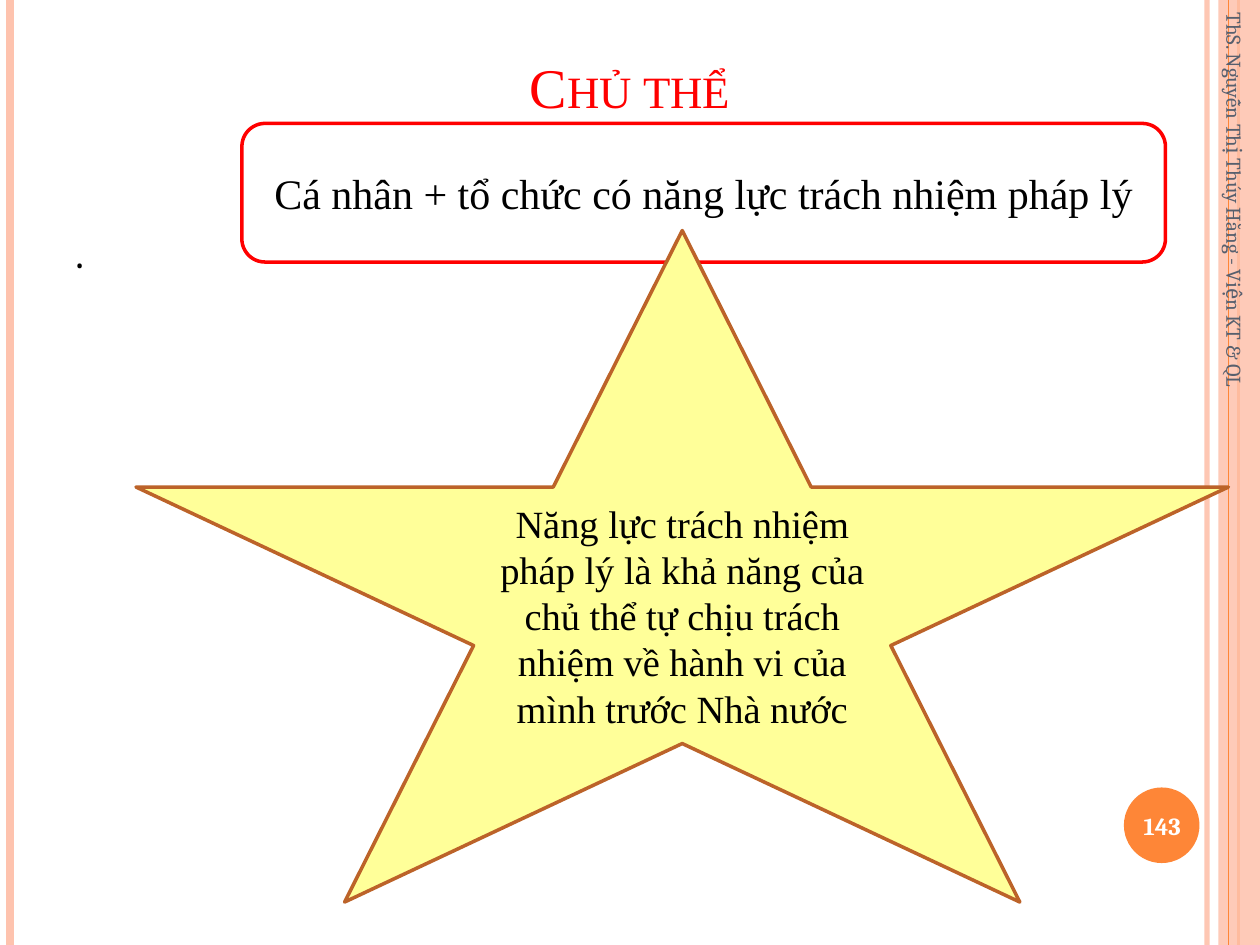
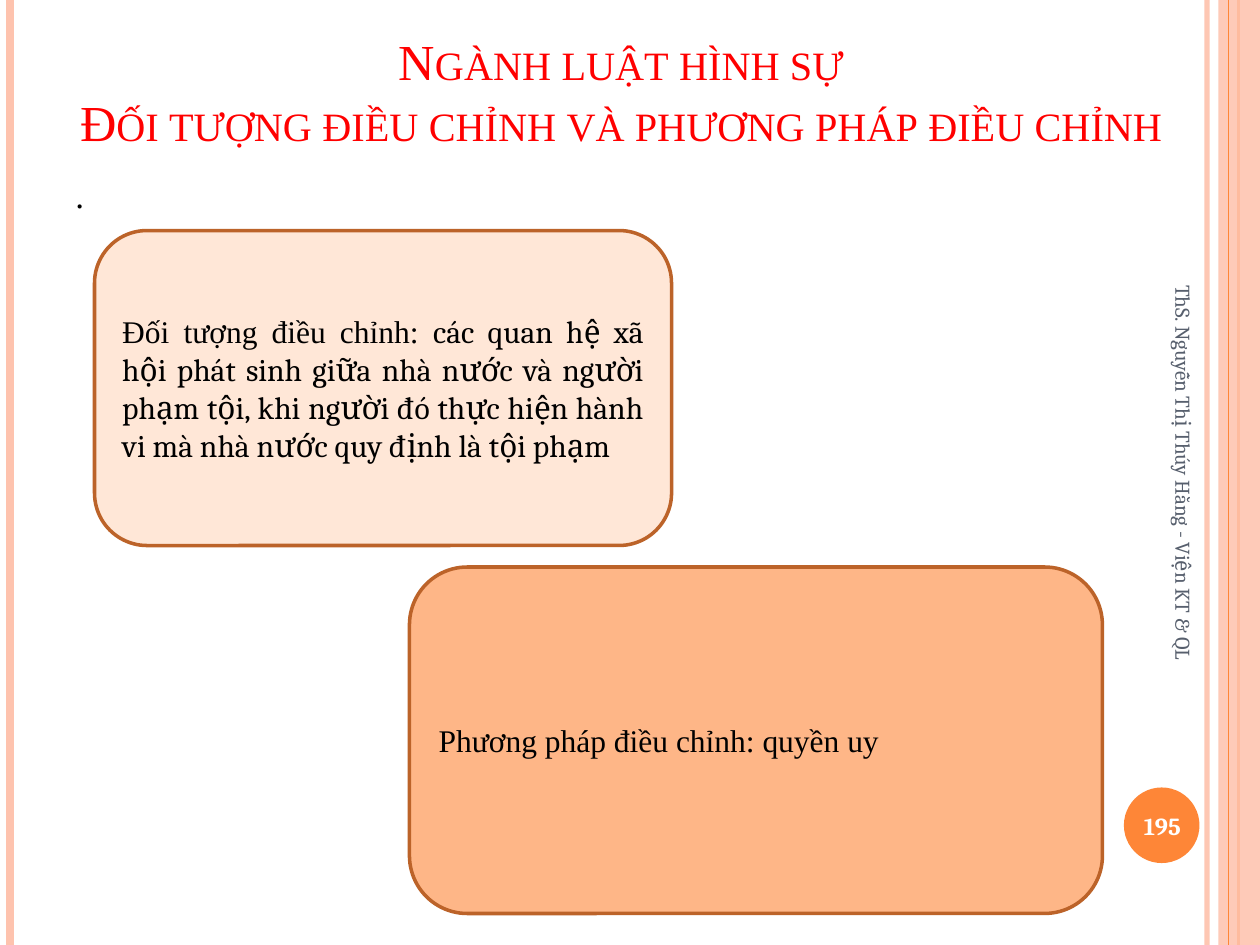
from lxml import etree
from pptx import Presentation, util as u
from pptx.dml.color import RGBColor
from pptx.enum import shapes, text
from pptx.oxml import ns

PX = u.Inches(1) // 100
WIDTH, HEIGHT = 1000, 750
SERIF, BODY = "Times New Roman", "Cambria"
PEACH, ORANGE, BROWN = "FEC3AE", "FE8637", "BC6329"
RED, BLACK, WHITE, SLATE = "FF0000", "000000", "FFFFFF", "575F6D"
CREAM, APRICOT, YELLOW = "FFE7D7", "FEB687", "FFFF99"
AUTHOR = "ThS. Nguyễn Thị Thúy Hằng - Viện KT & QL"


def paint(color_format, color, opacity=100):
    color_format.rgb = RGBColor.from_string(color)
    if opacity < 100:
        node = color_format._xFill.find(".//" + ns.qn("a:srgbClr"))
        etree.SubElement(node, ns.qn("a:alpha"), val=str(opacity * 1000))


def write(shape, content, size=24, font=SERIF, color=BLACK, bold=False, small_caps=False,
          align=text.PP_ALIGN.LEFT, anchor=text.MSO_ANCHOR.MIDDLE):
    frame = shape.text_frame
    frame.word_wrap = True
    frame.vertical_anchor = anchor
    paragraph = frame.paragraphs[0]
    paragraph.alignment = align
    for index, line in enumerate(content.split("\n")):
        if index:
            paragraph.add_line_break()
        run = paragraph.add_run()
        run.text = line
        run.font.size = u.Pt(size)
        run.font.name = font
        run.font.bold = bold
        paint(run.font.color, color)
        if small_caps:
            run.font._element.set("cap", "small")
    return shape


class Deck:
    def __init__(self):
        self.presentation = Presentation()
        self.presentation.slide_width = WIDTH * PX
        self.presentation.slide_height = HEIGHT * PX
        self.slide = None

    def add_slide(self):
        self.slide = self.presentation.slides.add_slide(self.presentation.slide_layouts[6])
        self.rule(958, PEACH, 3, opacity=93)
        self.rule(8, PEACH, 4.5)
        self.rule(983, ORANGE, 1.5)
        self.shape("RECTANGLE", (967, 0, 33, HEIGHT), PEACH, opacity=87)
        self.rule(975, ORANGE, 0.75)
        self.shape("OVAL", (892, 625, 60, 60), ORANGE)

    def rule(self, x, color, weight, opacity=100):
        line = self.slide.shapes.add_connector(
            shapes.MSO_CONNECTOR.STRAIGHT, x * PX, 0, x * PX, HEIGHT * PX)
        line.line.width = u.Pt(weight)
        line.line.fill.solid()
        paint(line.line.fill.fore_color, color, opacity)
        etree.SubElement(line._element.spPr, ns.qn("a:effectLst"))

    def shape(self, kind, box, fill, outline=None, opacity=100):
        shape = self.slide.shapes.add_shape(
            getattr(shapes.MSO_SHAPE, kind), *(length * PX for length in box))
        shape.shadow.inherit = False
        shape.fill.solid()
        paint(shape.fill.fore_color, fill, opacity)
        if outline:
            paint(shape.line.color, outline)
            shape.line.width = u.Pt(2)
        else:
            shape.line.fill.background()
        return shape

    def label(self, content, box, rotation=0, **style):
        label = self.slide.shapes.add_textbox(*(length * PX for length in box))
        label.rotation = rotation
        return write(label, content, **style)

    def title(self, content, box, size):
        self.label(content, box, size=size, color=RED, small_caps=True,
                   align=text.PP_ALIGN.CENTER, anchor=text.MSO_ANCHOR.BOTTOM)

    def body(self, content, box, **style):
        self.label(content, box, anchor=text.MSO_ANCHOR.TOP, **style)

    def footer(self, author_box, number):
        self.label(AUTHOR, author_box, rotation=90, size=12, font=BODY, color=SLATE)
        self.label(number, (889, 627, 67, 57), size=14, font=BODY, color=WHITE, bold=True,
                   align=text.PP_ALIGN.CENTER)


def build_subject(deck):
    deck.add_slide()
    deck.title("Chủ thể", (50, 17, 900, 83), 32)
    deck.body(".", (50, 175, 817, 533), font=BODY)
    definition = deck.shape("ROUNDED_RECTANGLE", (192, 98, 733, 110), WHITE, RED)
    write(definition, "Cá nhân + tổ chức có năng lực trách nhiệm pháp lý",
          align=text.PP_ALIGN.CENTER)
    star = deck.shape("STAR_5_POINT", (108, 183, 867, 533), YELLOW, BROWN)
    write(star, "Năng lực trách nhiệm pháp lý là khả năng của chủ thể tự chịu trách nhiệm "
          "về hành vi của mình trước Nhà nước", size=22, align=text.PP_ALIGN.CENTER)
    deck.footer((778, 182, 404, 40), "143")


def build_criminal_law(deck):
    deck.add_slide()
    deck.title("Ngành luật hình sự\nĐối tượng điều chỉnh và phương pháp điều chỉnh",
               (17, 25, 952, 100), 28.8)
    deck.body(".", (50, 133, 925, 583), size=20)
    justified = dict(size=18, align=text.PP_ALIGN.JUSTIFY)
    scope = deck.shape("ROUNDED_RECTANGLE", (75, 183, 458, 250), CREAM, BROWN)
    write(scope, "Đối tượng điều chỉnh: ", **justified)
    write(scope, "các quan hệ xã hội phát sinh giữa nhà nước và người phạm tội, khi người đó "
          "thực hiện hành vi mà nhà nước quy định là tội phạm", font=BODY, **justified)
    method = deck.shape("ROUNDED_RECTANGLE", (325, 450, 550, 275), APRICOT, BROWN)
    write(method, "Phương pháp điều chỉnh: quyền uy", **justified)
    deck.footer((746, 390, 387, 40), "195")


def main():
    deck = Deck()
    build_subject(deck)
    build_criminal_law(deck)
    deck.presentation.save("out.pptx")


if __name__ == "__main__":
    main()
